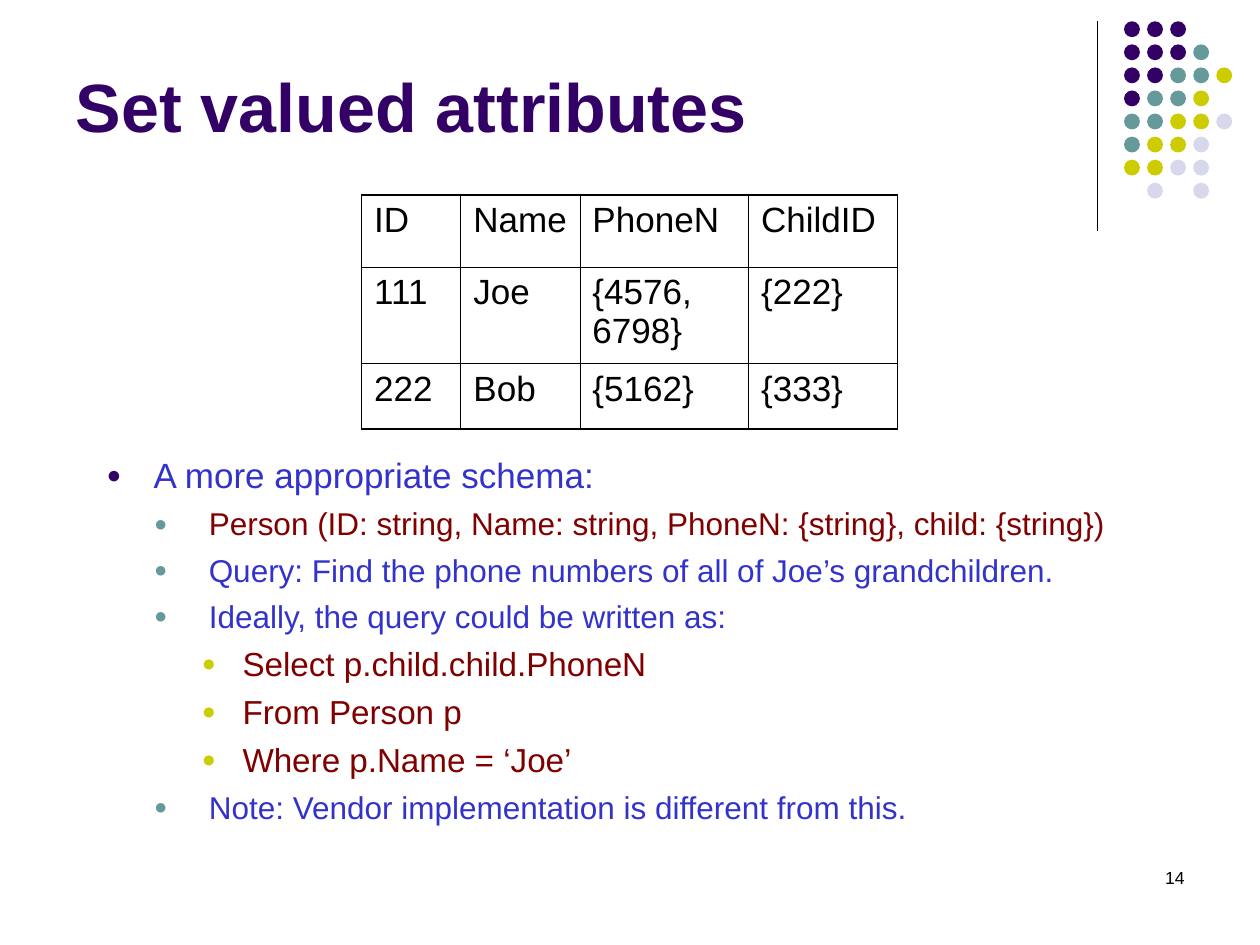
from lxml.etree import SubElement as Sub
from pptx import Presentation
from pptx.dml.color import RGBColor as RGB
from pptx.enum.shapes import MSO_CONNECTOR as LINK, MSO_SHAPE as SHAPE
from pptx.enum.text import MSO_ANCHOR as ANCHOR, MSO_AUTO_SIZE as FIT, PP_ALIGN as ALIGN
from pptx.oxml.ns import qn
from pptx.util import Cm, Pt

BLACK = RGB(0x00, 0x00, 0x00)
PLUM = RGB(0x33, 0x00, 0x66)
TEAL = RGB(0x66, 0x99, 0x99)
LIME = RGB(0xCC, 0xCC, 0x00)
PALE = RGB(0xD8, 0xD8, 0xEC)
BLUE = RGB(0x33, 0x33, 0xCC)
MAROON = RGB(0x80, 0x00, 0x00)

TITLE = "Set valued attributes"
PAGE = "14"
PEOPLE = [
    ("ID", "Name", "PhoneN", "ChildID"),
    ("111", "Joe", "{4576, 6798}", "{222}"),
    ("222", "Bob", "{5162}", "{333}"),
]
WIDTHS = (2.0, 2.4, 3.4, 3.0)
HEIGHTS = (1.45, 1.95, 1.32)
POINTS = [
    (0, BLUE, "A more appropriate schema:"),
    (1, MAROON, "Person (ID: string, Name: string, PhoneN: {string}, child: {string})"),
    (1, BLUE, "Query: Find the phone numbers of all of Joe’s grandchildren."),
    (1, BLUE, "Ideally, the query could be written as:"),
    (2, MAROON, "Select p.child.child.PhoneN"),
    (2, MAROON, "From Person p"),
    (2, MAROON, "Where p.Name = ‘Joe’"),
    (1, BLUE, "Note: Vendor implementation is different from this."),
]
LEVELS = [
    {"size": 20, "mark": PLUM, "left": 0.95, "hang": 0.95},
    {"size": 18, "mark": TEAL, "left": 2.06, "hang": 1.1},
    {"size": 19, "mark": LIME, "left": 2.74, "hang": 0.82},
]
DOTS = ["PPP", "PPPT", "PPTTL", "PTTL", "TTLLG", "TLLG", "LLGG", " G G"]
HUES = {"P": PLUM, "T": TEAL, "L": LIME, "G": PALE}
DOT, STEP = 0.32, 0.465


def style(font, size, color, bold=False):
    look = {"name": "Arial", "size": Pt(size), "bold": bold}
    for key, value in look.items():
        setattr(font, key, value)
    font.color.rgb = color


def add_box(slide, *place):
    frame = slide.shapes.add_textbox(*map(Cm, place)).text_frame
    frame.word_wrap = True
    return frame


def add_mark(para, level):
    props = para._p.get_or_add_pPr()
    props.set("marL", str(Cm(level["left"])))
    props.set("indent", str(-Cm(level["hang"])))
    Sub(Sub(props, qn("a:buClr")), qn("a:srgbClr"), val=str(level["mark"]))
    Sub(props, qn("a:buSzPct"), val="70000")
    Sub(props, qn("a:buFont"), typeface="Arial")
    Sub(props, qn("a:buChar"), char="●")


def add_edges(cell, outer):
    props = cell._tc.get_or_add_tcPr()
    for side in "LRTB":
        width = 1.08 if side in outer else 0.45
        line = Sub(props, qn(f"a:ln{side}"), w=str(Pt(width)))
        Sub(Sub(line, qn("a:solidFill")), qn("a:srgbClr"), val=str(BLACK))


def add_dots(slide):
    rule = slide.shapes.add_connector(LINK.STRAIGHT, Cm(22.12), Cm(0.43), Cm(22.12), Cm(4.65))
    rule.line.color.rgb = BLACK
    rule.line.width = Pt(0.75)
    Sub(rule._element.spPr, qn("a:effectLst"))
    for row, marks in enumerate(DOTS):
        for col, mark in enumerate(marks):
            if mark in HUES:
                left, top = Cm(22.66 + col * STEP), Cm(0.43 + row * STEP)
                dot = slide.shapes.add_shape(SHAPE.OVAL, left, top, Cm(DOT), Cm(DOT))
                dot.shadow.inherit = False
                dot.fill.solid()
                dot.fill.fore_color.rgb = HUES[mark]
                dot.line.fill.background()


def add_title(slide):
    title = slide.shapes.title
    place = {"left": 1.27, "top": 0.33, "width": 20.95, "height": 3.6}
    for key, value in place.items():
        setattr(title, key, Cm(value))
    frame = title.text_frame
    frame.text = TITLE
    frame.auto_size = FIT.NONE
    frame.vertical_anchor = ANCHOR.MIDDLE
    para = frame.paragraphs[0]
    para.alignment = ALIGN.LEFT
    style(para.runs[0].font, 39, PLUM, True)


def add_points(slide):
    frame = add_box(slide, 1.9, 9.12, 21.44, 8.81)
    for index, (depth, color, text) in enumerate(POINTS):
        para = frame.add_paragraph() if index else frame.paragraphs[0]
        para.text = text
        para.level = depth
        add_mark(para, LEVELS[depth])
        para.line_spacing = 0.9
        para.space_before = Pt(7 if index else 0)
        style(para.runs[0].font, LEVELS[depth]["size"], color)


def add_people(slide):
    rows, cols = len(PEOPLE), len(WIDTHS)
    table = slide.shapes.add_table(
        rows, cols, Cm(7.29), Cm(3.93), Cm(sum(WIDTHS)), Cm(sum(HEIGHTS))
    ).table
    table.first_row = table.horz_banding = False
    for col, width in enumerate(WIDTHS):
        table.columns[col].width = Cm(width)
    for row, height in enumerate(HEIGHTS):
        table.rows[row].height = Cm(height)
        for col, text in enumerate(PEOPLE[row]):
            cell = table.cell(row, col)
            cell.text = text
            style(cell.text_frame.paragraphs[0].runs[0].font, 20, BLACK)
            ends = {"L": col == 0, "R": col == cols - 1, "T": row == 0, "B": row == rows - 1}
            add_edges(cell, [side for side, end in ends.items() if end])
            cell.fill.background()


def add_page(slide):
    para = add_box(slide, 18.2, 17.36, 5.93, 1.27).paragraphs[0]
    para.text = PAGE
    para.alignment = ALIGN.RIGHT
    style(para.runs[0].font, 10, BLACK)


def main():
    deck = Presentation()
    deck.slide_width, deck.slide_height = Cm(25.4), Cm(19.05)
    slide = deck.slides.add_slide(deck.slide_layouts[5])
    for add in (add_dots, add_page, add_title, add_points, add_people):
        add(slide)
    deck.save("out.pptx")


if __name__ == "__main__":
    main()
